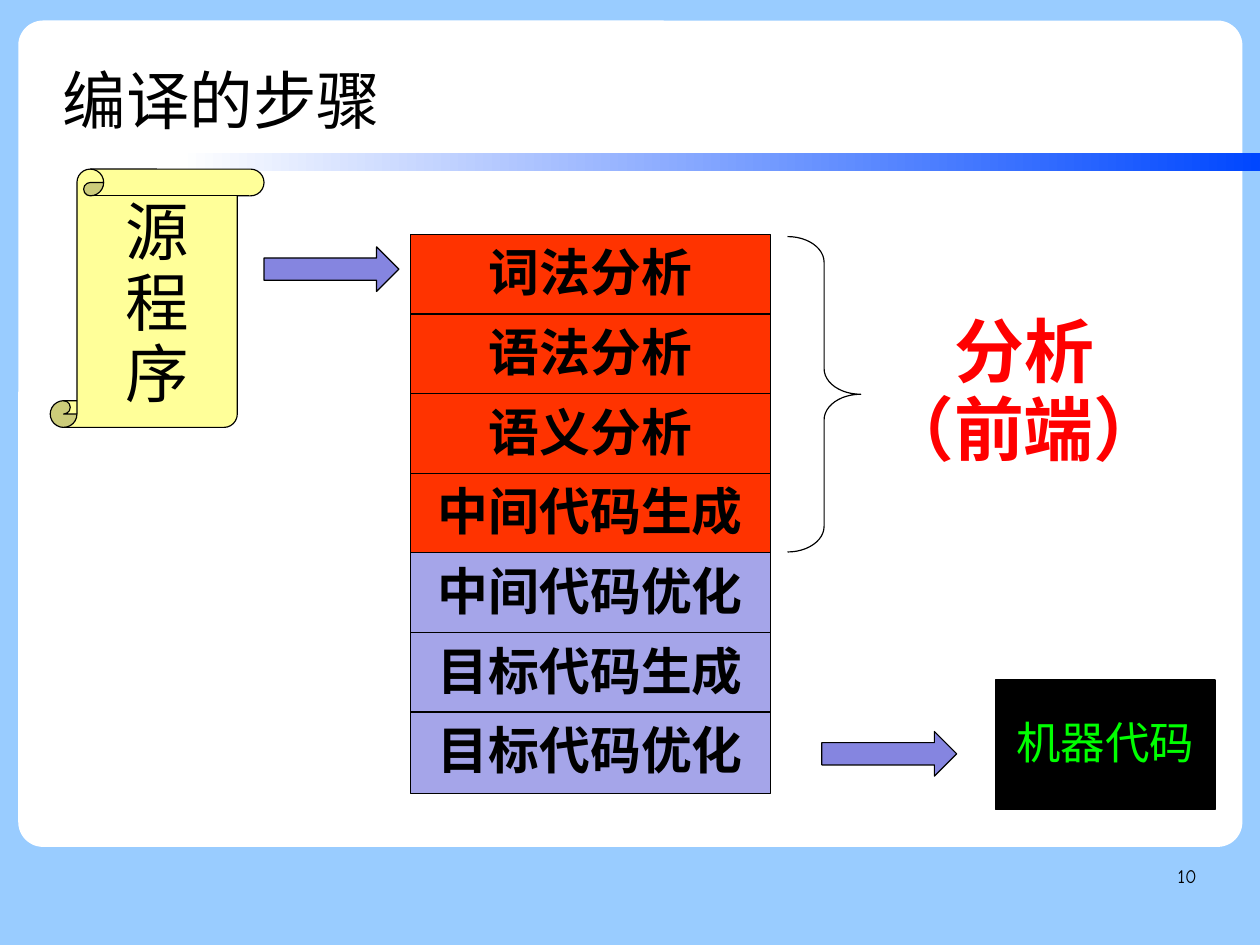
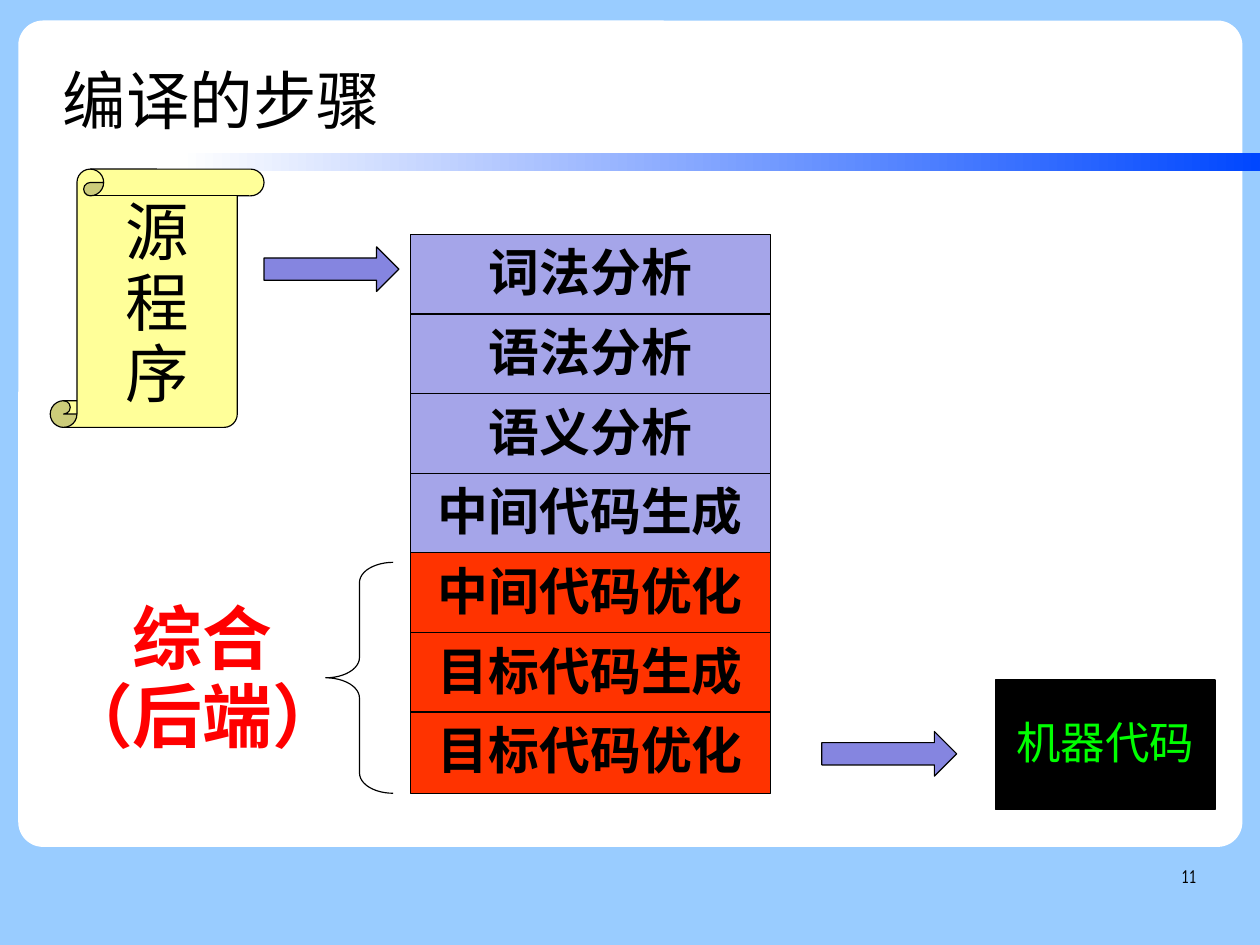
from lxml import etree
from pptx import Presentation, util as u
from pptx.dml import color as c
from pptx.enum import shapes, text
from pptx.oxml import ns

KIND = shapes.MSO_SHAPE
ALIGN = text.PP_ALIGN
MID = text.MSO_ANCHOR.MIDDLE
TOP = text.MSO_ANCHOR.TOP


class Theme:
    wide = 28 / 2.54
    high = 21 / 2.54
    sky = "99CCFF"
    white = "FFFFFF"
    blue = "0047FF"
    ink = "000000"
    hot = "FF3300"
    cool = "A5A5E9"
    arrow = "8585E0"
    paper = "FFFF99"
    red = "FF0000"
    green = "00FF00"
    cjk = "Noto Sans CJK SC"
    title = {"size": u.Pt(40), "name": "Arial", "bold": False}
    scroll = {"size": u.Pt(40), "name": cjk, "bold": False}
    step = {"size": u.Pt(32), "name": cjk, "bold": True}
    code = {"size": u.Pt(28), "name": cjk, "bold": False}
    label = {"size": u.Pt(44), "name": cjk, "bold": True}
    page = {"size": u.Pt(12), "name": "Comic Neue", "bold": False}


STEPS = ["词法分析", "语法分析", "语义分析", "中间代码生成",
         "中间代码优化", "目标代码生成", "目标代码优化"]
FRONT = 4


def rgb(code):
    return c.RGBColor.from_string(code)


def write(shape, lines, style, color=Theme.ink, align=ALIGN.CENTER,
          space=0.93, anchor=MID, inset=None):
    frame = shape.text_frame
    form = {"word_wrap": True, "auto_size": text.MSO_AUTO_SIZE.NONE,
            "vertical_anchor": anchor}
    if inset is not None:
        for side in ("left", "top", "right", "bottom"):
            form[f"margin_{side}"] = u.Inches(inset)
    for key, val in form.items():
        setattr(frame, key, val)
    for i, line in enumerate(lines):
        para = frame.add_paragraph() if i else frame.paragraphs[0]
        para.alignment = align
        para.line_spacing = space
        para.space_before = para.space_after = u.Pt(0)
        run = para.add_run()
        run.text = line
        for key, val in style.items():
            setattr(run.font, key, val)
        run.font.color.rgb = rgb(color)
        east = etree.SubElement(run.font._element, ns.qn("a:ea"))
        east.set("typeface", Theme.cjk)


def draw(slide, kind, box, fill=None, line=Theme.ink, adjust=()):
    shape = slide.shapes.add_shape(kind, *map(u.Inches, box))
    shape.shadow.inherit = False
    if fill:
        shape.fill.solid()
        shape.fill.fore_color.rgb = rgb(fill)
    else:
        shape.fill.background()
    if line:
        shape.line.color.rgb = rgb(line)
        shape.line.width = u.Pt(0.75)
    else:
        shape.line.fill.background()
    for i, val in enumerate(adjust):
        shape.adjustments[i] = val
    return shape


def dress(layout, slide):
    layout.background.fill.solid()
    layout.background.fill.fore_color.rgb = rgb(Theme.sky)
    panel = draw(slide, KIND.ROUNDED_RECTANGLE, (0.16, 0.18, 10.71, 7.23),
                 Theme.white, None, [0.03])
    band = draw(slide, KIND.RECTANGLE, (1.57, 1.34, 9.45, 0.16), None, None)
    band.fill.gradient()
    band.fill.gradient_angle = 0
    ends = (Theme.white, Theme.blue)
    for i, (stop, color) in enumerate(zip(band.fill.gradient_stops, ends)):
        stop.color.rgb = rgb(color)
        stop.position = i
    for i, part in enumerate((panel, band)):
        part.element.nvSpPr.cNvPr.set("id", str(100 + i))
        layout.shapes.element.insert(2 + i, part.element)


def head(slide, name, box):
    title = slide.shapes.title
    for key, val in zip(("left", "top", "width", "height"), box):
        setattr(title, key, u.Inches(val))
    write(title, [name], Theme.title, align=ALIGN.LEFT, space=1.1, inset=0)


def stack(slide, box, hot):
    x, y, w, h = box
    row = 0.71
    pitch = (h - row) / (len(STEPS) - 1)
    for i, step in enumerate(STEPS):
        fill = Theme.hot if i in hot else Theme.cool
        cell = draw(slide, KIND.RECTANGLE, (x, y + i * pitch, w, row), fill)
        write(cell, [step], Theme.step)


def flow(slide, box):
    x, y, w, h = box
    scroll = draw(slide, KIND.VERTICAL_SCROLL, (x, y, 1.87, 2.26),
                  Theme.paper, adjust=[0.125])
    write(scroll, "源程序", Theme.scroll)
    for dx, dy in ((1.87, 0.68), (6.75, 4.92)):
        draw(slide, KIND.RIGHT_ARROW, (x + dx, y + dy, 1.18, 0.39),
             Theme.arrow, adjust=[0.5, 0.5])
    code = draw(slide, KIND.RECTANGLE, (x + w - 1.92, y + h - 1.13, 1.92, 1.13),
                Theme.ink)
    write(code, ["机器代码"], Theme.code, Theme.green)


def note(slide, box, lines, style=Theme.label, color=Theme.red, **form):
    area = slide.shapes.add_textbox(*map(u.Inches, box))
    write(area, lines, style, color, anchor=TOP, **form)


def build(slide, page, hot, lines, spot, kind, brace, bend):
    head(slide, "编译的步骤", (0.55, 0.33, 8.58, 1.01))
    stack(slide, (3.59, 2.05, 3.15, 4.89), hot)
    flow(slide, (0.44, 1.48, 10.19, 5.6))
    note(slide, spot, lines)
    draw(slide, kind, brace, adjust=[bend, 0.5])
    note(slide, (7.9, 7.53, 2.57, 0.57), [str(page)], Theme.page, Theme.ink,
         align=ALIGN.RIGHT, space=1.16, inset=0)


def main():
    deck = Presentation()
    deck.slide_width = u.Inches(Theme.wide)
    deck.slide_height = u.Inches(Theme.high)
    layout = deck.slide_layouts[5]
    pages = [
        (range(FRONT), ["分析", "（前端）"], (7.58, 2.71, 2.76, 1.48),
         KIND.RIGHT_BRACE, (6.89, 2.07, 0.64, 2.76), 0.35),
        (range(FRONT, len(STEPS)), ["综合", "（后端）"], (0.3, 5.22, 2.95, 1.48),
         KIND.LEFT_BRACE, (2.85, 4.92, 0.59, 2.02), 0.3),
    ]
    for page, parts in enumerate(pages, 10):
        slide = deck.slides.add_slide(layout)
        if page == 10:
            dress(layout, slide)
        build(slide, page, *parts)
    deck.save("out.pptx")


if __name__ == "__main__":
    main()
